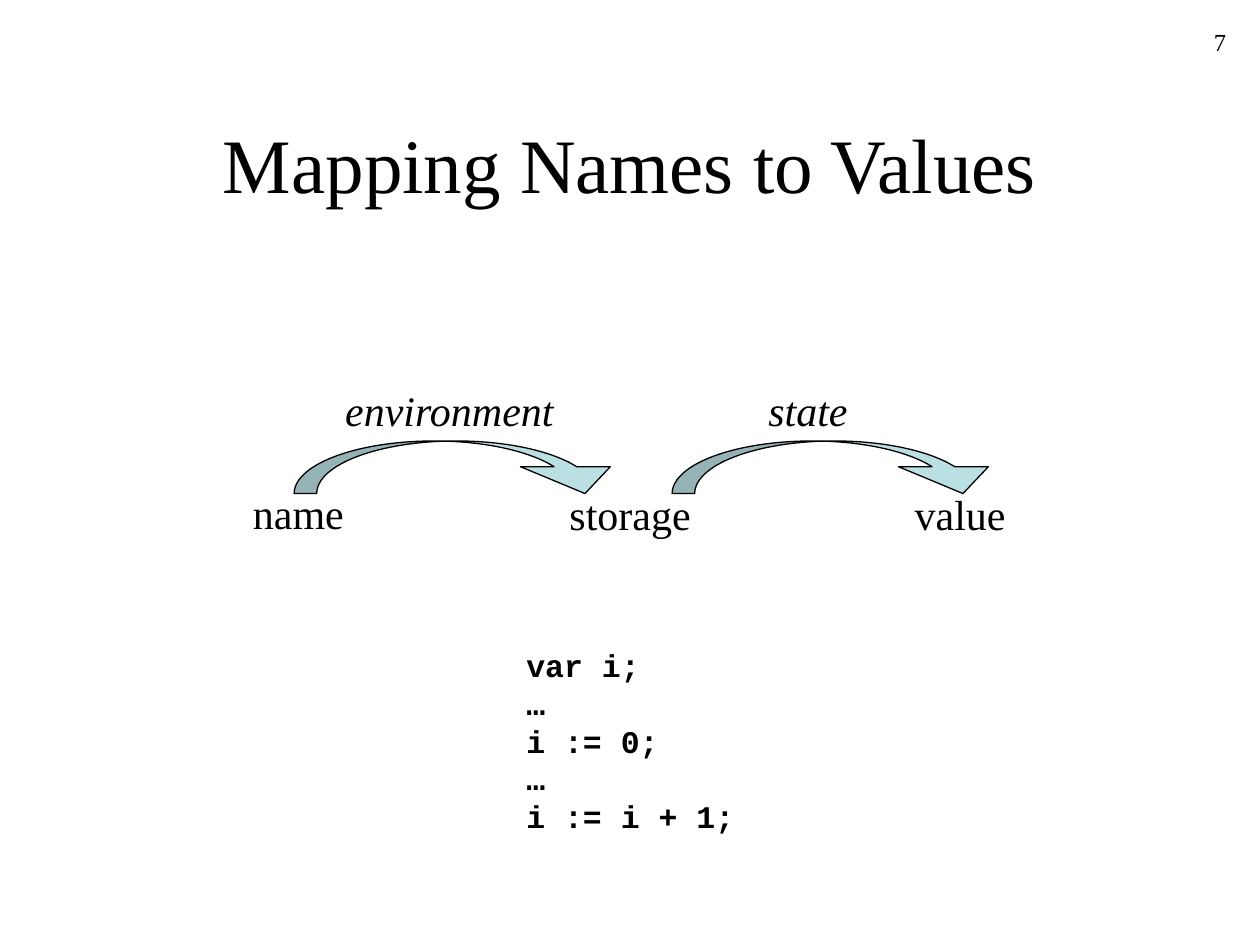
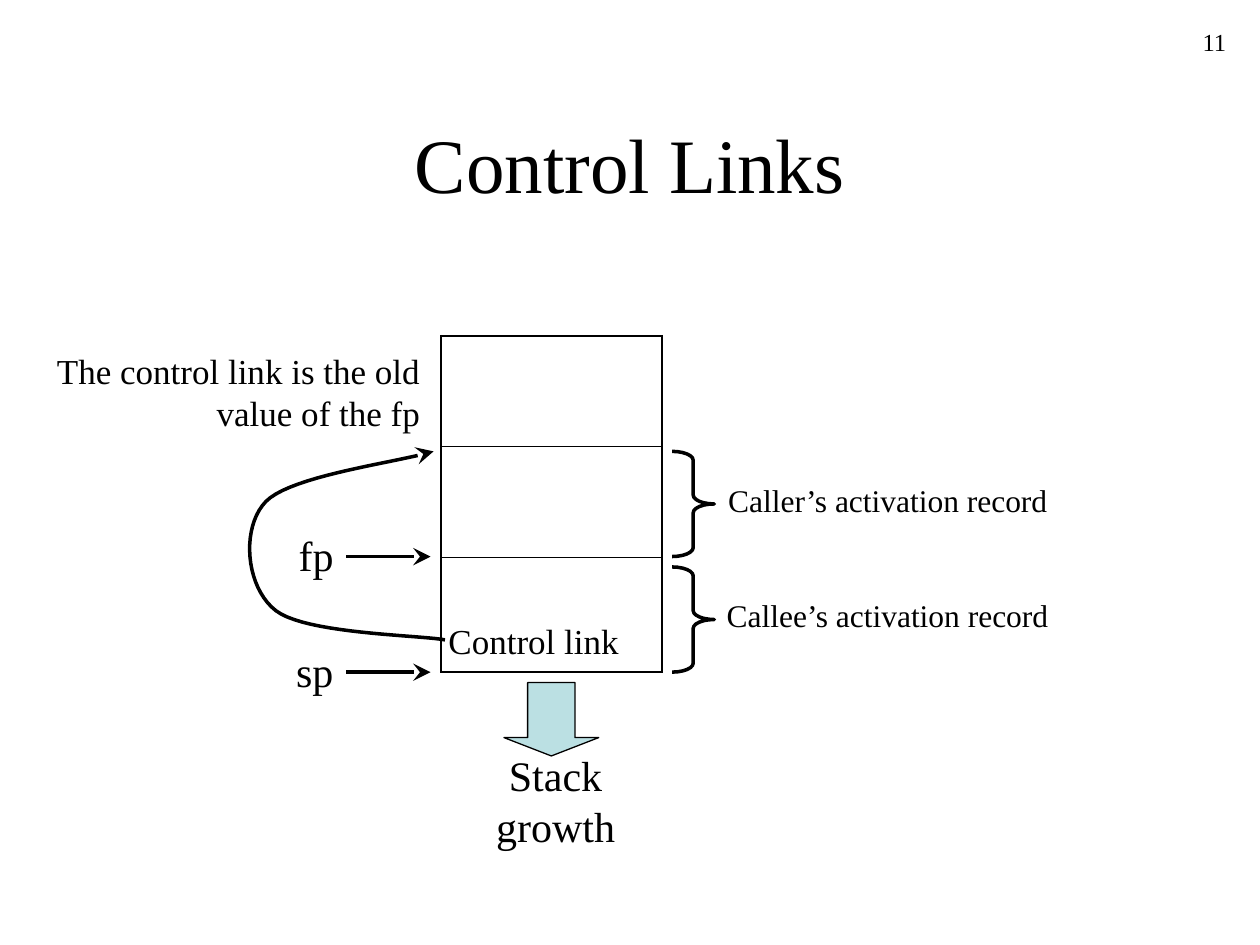
from dataclasses import dataclass

from lxml.etree import SubElement
from pptx import Presentation
from pptx.dml.color import RGBColor
from pptx.enum.shapes import MSO_CONNECTOR, MSO_SHAPE
from pptx.enum.text import MSO_ANCHOR, MSO_AUTO_SIZE, PP_ALIGN
from pptx.oxml import parse_xml
from pptx.oxml.ns import nsdecls, qn
from pptx.util import Cm, Pt

BLACK = RGBColor(0x00, 0x00, 0x00)
PALE_TEAL = RGBColor(0xBB, 0xE0, 0xE3)
SERIF, MONO = "Times New Roman", "Courier New"
TITLE_ONLY = 5
LEFT, CENTER, RIGHT = PP_ALIGN.LEFT, PP_ALIGN.CENTER, PP_ALIGN.RIGHT


@dataclass(frozen=True)
class Label:
    """Text in a box; positions and sizes are in centimetres."""
    text: str
    left: float
    top: float
    width: float
    height: float = 1.27
    size: int = 24
    font: str = SERIF
    bold: bool = False
    italic: bool = False
    align: PP_ALIGN = LEFT
    wrap: bool = False


@dataclass(frozen=True)
class Outline:
    """A filled or open preset shape; positions and sizes are in centimetres."""
    kind: MSO_SHAPE
    left: float
    top: float
    width: float
    height: float
    adjustments: tuple[float, ...]
    filled: bool = True
    weight: float = 0.75


MAPPING_LABELS = [
    Label("name", 4.85, 9.7, 2.34),
    Label("storage", 11.23, 9.73, 2.95),
    Label("value", 18.19, 9.73, 2.34),
    Label("environment", 6.71, 7.62, 4.72, italic=True),
    Label("state", 15.24, 7.62, 2.11, italic=True),
    Label("var i;\n…\ni := 0;\n…\ni := i + 1;", 10.36, 12.9, 4.7, 4.06,
          size=18, font=MONO, bold=True),
]
MAPPING_ARROWS = [
    Outline(MSO_SHAPE.CURVED_DOWN_ARROW, left, 8.89, 6.77, 1.06, (0.43, 1.71, 0.51))
    for left in (5.93, 13.55)
]

STACK_LABELS = [
    Label("fp", 5.77, 10.54, 1.3),
    Label("sp", 5.72, 12.88, 1.35),
    Label("Control link", 8.79, 12.37, 3.94, 1.12, size=20),
    Label("Stack\ngrowth", 9.75, 14.99, 2.9, 2.29, align=CENTER),
    Label("Caller’s activation record", 14.43, 9.58, 6.96, 1.02, size=18),
    Label("Callee’s activation record", 14.4, 11.89, 7.04, 1.02, size=18),
    Label("The control link is the old value of the fp", 0.64, 6.93, 8.08, 1.96,
          size=20, align=RIGHT, wrap=True),
]
STACK_OUTLINES = [
    Outline(MSO_SHAPE.DOWN_ARROW, 10.16, 13.76, 1.91, 1.48, (0.5, 0.25)),
    *(Outline(MSO_SHAPE.RIGHT_BRACE, 13.55, top, 0.85, 2.12, (0.21, 0.5), False, 2)
      for top in (9.1, 11.43)),
]
POINTER_TOPS = (11.22, 13.55)
FRAME_HEIGHTS = (2.23, 2.23, 2.31)
# Start point, then two control points and an end point for each curve.
LINK_START = (8.97, 12.9)
LINK_CURVES = [
    ((8.41, 12.8), (6.17, 12.78), (5.56, 12.31)),
    ((4.95, 11.84), (4.85, 10.64), (5.36, 10.11)),
    ((5.89, 9.58), (8.03, 9.32), (8.74, 9.1)),
]
STEPS_PER_CURVE = 20


def style_paragraph(p, size: int, font: str = SERIF, bold: bool = False,
                    italic: bool = False, align: PP_ALIGN = LEFT) -> None:
    p.alignment = align
    p.font.size = Pt(size)
    p.font.name = font
    p.font.bold = bold
    p.font.italic = italic
    p.font.color.rgb = BLACK


def add_label(s, label: Label) -> None:
    box = s.shapes.add_textbox(Cm(label.left), Cm(label.top),
                               Cm(label.width), Cm(label.height))
    tf = box.text_frame
    tf.word_wrap = label.wrap
    tf.auto_size = MSO_AUTO_SIZE.SHAPE_TO_FIT_TEXT
    p = tf.paragraphs[0]
    p.text = label.text
    style_paragraph(p, label.size, label.font, label.bold, label.italic, label.align)


def add_titled_slide(prs, title: str, number: int):
    s = prs.slides.add_slide(prs.slide_layouts[TITLE_ONLY])
    sp = s.shapes.title
    sp.left, sp.top, sp.width, sp.height = Cm(1.9), Cm(1.68), Cm(21.6), Cm(3.18)
    tf = sp.text_frame
    tf.text = title
    tf.vertical_anchor = MSO_ANCHOR.MIDDLE
    style_paragraph(tf.paragraphs[0], 44, align=CENTER)
    add_label(s, Label(str(number), 19.69, 0.43, 5.28, size=14,
                       align=RIGHT, wrap=True))
    return s


def set_line(sp, weight: float) -> None:
    sp.line.color.rgb = BLACK
    sp.line.width = Pt(weight)


def add_outline(s, outline: Outline) -> None:
    sp = s.shapes.add_shape(outline.kind, Cm(outline.left), Cm(outline.top),
                            Cm(outline.width), Cm(outline.height))
    for i, value in enumerate(outline.adjustments):
        sp.adjustments[i] = value
    sp.shadow.inherit = False
    if outline.filled:
        sp.fill.solid()
        sp.fill.fore_color.rgb = PALE_TEAL
    else:
        sp.fill.background()
    set_line(sp, outline.weight)


def add_stealth_tip(sp) -> None:
    SubElement(sp.line._get_or_add_ln(), qn("a:tailEnd"),
               type="stealth", w="lg", len="lg")


def add_pointer(s, top: float) -> None:
    """Draw the arrow from a register name to the stack."""
    line = s.shapes.add_connector(MSO_CONNECTOR.STRAIGHT, Cm(6.98), Cm(top),
                                  Cm(8.68), Cm(top))
    set_line(line, 2)
    add_stealth_tip(line)
    SubElement(line._element.spPr, qn("a:effectLst"))


def curve_points() -> list[tuple[int, int]]:
    points = []
    start = LINK_START
    for first, second, end in LINK_CURVES:
        for step in range(1, STEPS_PER_CURVE + 1):
            t = step / STEPS_PER_CURVE
            u = 1 - t
            x, y = (u**3 * a + 3 * u * u * t * b + 3 * u * t * t * c + t**3 * d
                    for a, b, c, d in zip(start, first, second, end))
            points.append((Cm(x), Cm(y)))
        start = end
    return points


def add_control_link(s) -> None:
    x, y = LINK_START
    builder = s.shapes.build_freeform(Cm(x), Cm(y))
    builder.add_line_segments(curve_points(), close=False)
    sp = builder.convert_to_shape()
    sp.shadow.inherit = False
    sp.fill.background()
    set_line(sp, 2)
    add_stealth_tip(sp)


def set_borders(cell, top: float, bottom: float, side: float) -> None:
    tc_pr = cell._tc.get_or_add_tcPr()
    borders = {"lnL": side, "lnR": side, "lnT": top, "lnB": bottom}
    for i, (tag, weight) in enumerate(borders.items()):
        tc_pr.insert(i, parse_xml(
            f'<a:{tag} {nsdecls("a")} w="{Pt(weight)}"><a:solidFill>'
            f'<a:srgbClr val="{BLACK}"/></a:solidFill></a:{tag}>'))


def add_stack(s) -> None:
    outer, inner = 1.08, 0.45
    last = len(FRAME_HEIGHTS) - 1
    table = s.shapes.add_table(len(FRAME_HEIGHTS), 1, Cm(8.89), Cm(6.77),
                               Cm(4.45), Cm(sum(FRAME_HEIGHTS))).table
    table.first_row = table.horz_banding = False
    for i, height in enumerate(FRAME_HEIGHTS):
        table.rows[i].height = Cm(height)
        cell = table.cell(i, 0)
        cell.fill.background()
        set_borders(cell, outer if i == 0 else inner,
                    outer if i == last else inner, outer)


def build_mapping_slide(prs) -> None:
    s = add_titled_slide(prs, "Mapping Names to Values", 7)
    for label in MAPPING_LABELS:
        add_label(s, label)
    for arrow in MAPPING_ARROWS:
        add_outline(s, arrow)


def build_control_links_slide(prs) -> None:
    s = add_titled_slide(prs, "Control Links", 11)
    add_stack(s)
    for top in POINTER_TOPS:
        add_pointer(s, top)
    add_control_link(s)
    for outline in STACK_OUTLINES:
        add_outline(s, outline)
    for label in STACK_LABELS:
        add_label(s, label)


def main() -> None:
    prs = Presentation()
    prs.slide_width, prs.slide_height = Cm(25.4), Cm(19.05)
    build_mapping_slide(prs)
    build_control_links_slide(prs)
    prs.save("out.pptx")


if __name__ == "__main__":
    main()
